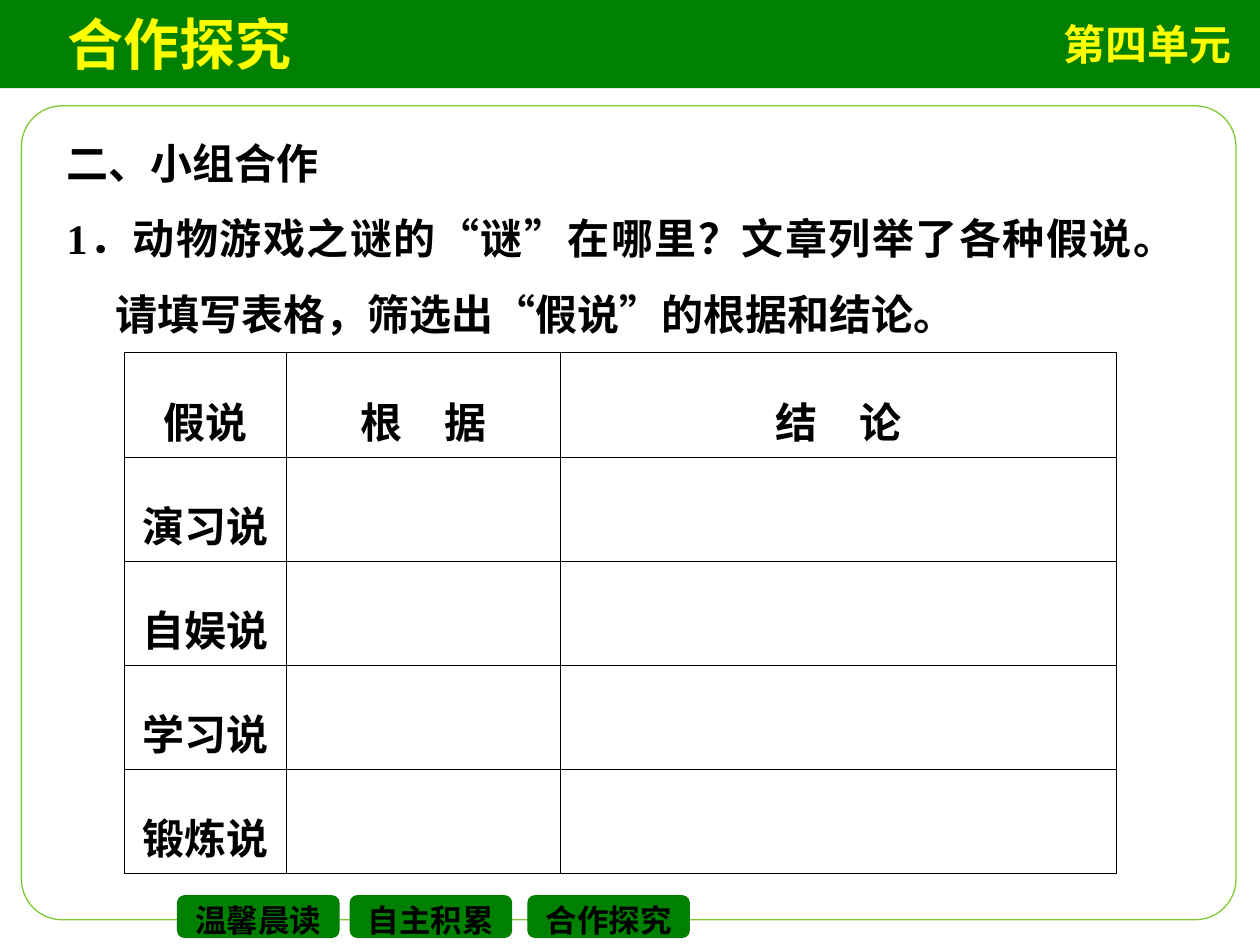
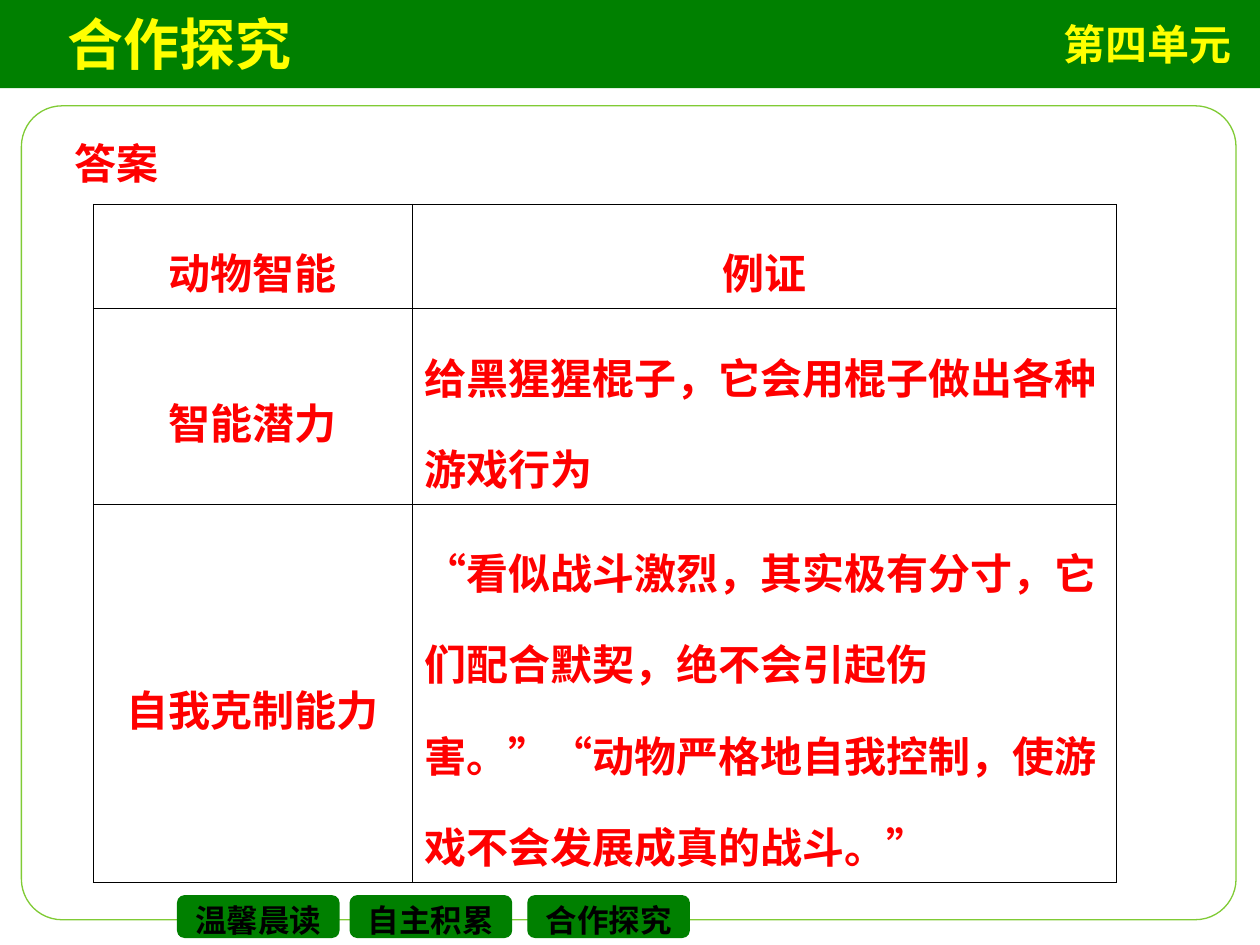
"""Build two lesson slides: a table of hypotheses to fill in and its answer table."""
from dataclasses import dataclass

from lxml import etree
from pptx import Presentation
from pptx.dml.color import RGBColor
from pptx.enum.lang import MSO_LANGUAGE_ID
from pptx.enum.shapes import MSO_SHAPE
from pptx.enum.text import MSO_ANCHOR, PP_ALIGN
from pptx.oxml import parse_xml
from pptx.oxml.ns import nsdecls, qn
from pptx.util import Inches, Pt

ROUND, RECT = MSO_SHAPE.ROUNDED_RECTANGLE, MSO_SHAPE.RECTANGLE
LEFT, MID, JUST = PP_ALIGN.LEFT, PP_ALIGN.CENTER, PP_ALIGN.JUSTIFY
TOP, CENTER = MSO_ANCHOR.TOP, MSO_ANCHOR.MIDDLE
CHINESE = MSO_LANGUAGE_ID.SIMPLIFIED_CHINESE


@dataclass(frozen=True)
class Theme:
    green: RGBColor = RGBColor(0, 128, 0)
    lime: RGBColor = RGBColor(0x80, 0xCB, 0x35)
    yellow: RGBColor = RGBColor(255, 255, 0)
    red: RGBColor = RGBColor(255, 0, 0)
    black: RGBColor = RGBColor(0, 0, 0)
    white: RGBColor = RGBColor(255, 255, 255)
    latin: str = "Times New Roman"
    asian: str = "Noto Sans CJK SC"
    title: int = 32
    body: int = 24
    button: int = 18


theme = Theme()


def write(frame, text, size, color, align=LEFT, space=1.0, anchor=TOP):
    frame.text = text
    frame.word_wrap = True
    frame.vertical_anchor = anchor
    for para in frame.paragraphs:
        para.alignment = align
        para.line_spacing = space
        for run in para.runs:
            font = run.font
            font.name, font.size, font.bold = theme.latin, Pt(size), True
            font.color.rgb = color
            font.language_id = CHINESE
            etree.SubElement(run._r.rPr, qn("a:ea"), typeface=theme.asian)


def draw(slide, kind, place, fill, line=None, bend=None):
    shape = slide.shapes.add_shape(kind, *map(Inches, place))
    shape.shadow.inherit = False
    shape.fill.solid()
    shape.fill.fore_color.rgb = fill
    if line is None:
        shape.line.fill.background()
    else:
        shape.line.color.rgb = line
        shape.line.width = Pt(0.75)
    if bend is not None:
        shape.adjustments[0] = bend
    return shape


buttons = [(1.41, "温馨晨读"), (2.78, "自主积累"), (4.19, "合作探究")]
pages = [
    dict(
        color=theme.black, align=JUST, indent=0.39,
        box=(0.43, 0.84, 9, 1.9),
        text="二、小组合作\n1．动物游戏之谜的“谜”在哪里？文章列举了各种假说。"
             "请填写表格，筛选出“假说”的根据和结论。",
        spot=(0.99, 2.8), cols=[1.28, 2.18, 4.41], rows=[4.13 / 5] * 5,
        cells=[["假说", "根　据", "结　论"], ["演习说", "", ""], ["自娱说", "", ""],
               ["学习说", "", ""], ["锻炼说", "", ""]],
    ),
    dict(
        color=theme.red, align=LEFT, indent=0,
        box=(0.49, 0.84, 9, 0.7),
        text="答案",
        spot=(0.74, 1.62), cols=[2.53, 5.59], rows=[0.83, 1.55, 3],
        cells=[["动物智能", "例证"],
               ["智能潜力", "给黑猩猩棍子，它会用棍子做出各种游戏行为"],
               ["自我克制能力", "“看似战斗激烈，其实极有分寸，它们配合默契，绝不会引起伤害。”"
                "“动物严格地自我控制，使游戏不会发展成真的战斗。”"]],
    ),
]

deck = Presentation()
deck.slide_width, deck.slide_height = Inches(10), Inches(7.5)

for page in pages:
    slide = deck.slides.add_slide(deck.slide_layouts[6])
    draw(slide, ROUND, (0.17, 0.84, 9.64, 6.46), theme.white, theme.lime, 0.05)
    draw(slide, RECT, (0, 0, 10, 0.7), theme.green)
    title = slide.shapes.add_textbox(*map(Inches, (0.44, -0.08, 2.04, 0.74)))
    write(title.text_frame, "合作探究", theme.title, theme.yellow, space=1.2, anchor=CENTER)
    for left, label in buttons:
        button = draw(slide, ROUND, (left, 7.11, 1.28, 0.33), theme.green, theme.green)
        write(button.text_frame, label, theme.button, theme.black, MID, 1.2, CENTER)
    unit = slide.shapes.add_textbox(*map(Inches, (8.34, 0.1, 1.54, 0.5)))
    write(unit.text_frame, "第四单元", theme.body, theme.yellow)

    body = slide.shapes.add_textbox(*map(Inches, page["box"]))
    write(body.text_frame, page["text"], theme.body, page["color"], page["align"], 1.5)
    for para in body.text_frame.paragraphs:
        props = para._p.get_or_add_pPr()
        props.set("marL", str(Inches(page["indent"])))
        props.set("indent", str(-Inches(page["indent"])))

    cols, rows = page["cols"], page["rows"]
    size = map(Inches, (*page["spot"], sum(cols), sum(rows)))
    table = slide.shapes.add_table(len(rows), len(cols), *size).table
    table.first_row = table.horz_banding = False
    for col, width in zip(table.columns, cols):
        col.width = Inches(width)
    for r, (row, height) in enumerate(zip(table.rows, rows)):
        row.height = Inches(height)
        for c, cell in enumerate(row.cells):
            align = LEFT if r and c else MID
            write(cell.text_frame, page["cells"][r][c], theme.body, page["color"], align, 1.5)
            cell.vertical_anchor = CENTER
            cell.margin_left = cell.margin_right = Inches(0.1)
            cell.margin_top = cell.margin_bottom = Inches(0.05)
            for side in "LRTB":
                cell._tc.get_or_add_tcPr().append(parse_xml(
                    f'<a:ln{side} {nsdecls("a")} w="{Pt(0.45)}"><a:solidFill>'
                    f'<a:srgbClr val="{theme.black}"/></a:solidFill></a:ln{side}>'))
            cell.fill.background()

deck.save("out.pptx")
